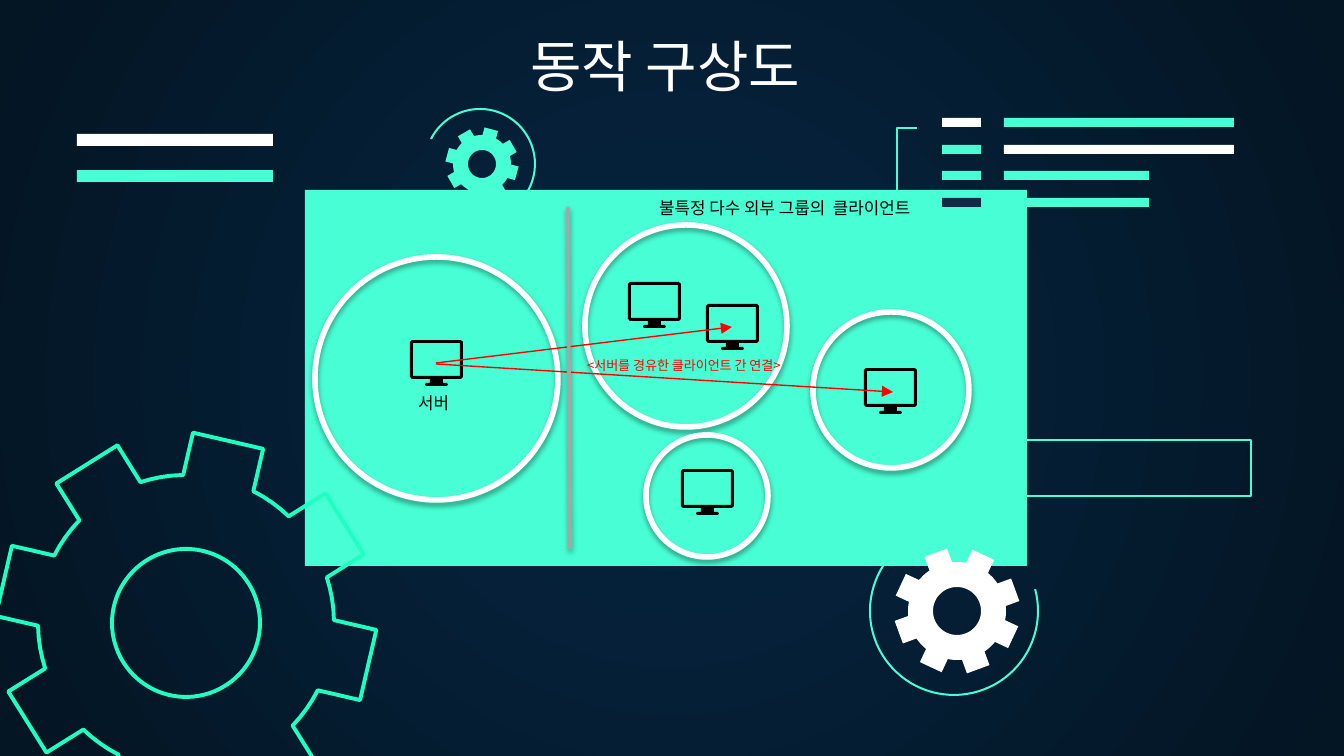
from math import asin, cos, degrees, radians, sin

from lxml.etree import SubElement as Sub
from pptx import Presentation
from pptx.dml.color import RGBColor as RGB
from pptx.enum.shapes import MSO_CONNECTOR as Link, MSO_SHAPE as Kind
from pptx.enum.text import MSO_ANCHOR as Anchor, MSO_AUTO_SIZE as Fit, PP_ALIGN as Align
from pptx.oxml.ns import qn
from pptx.util import Pt

SCALE = 914400 / 134.4
FONT = "Noto Sans CJK KR"
HUES = {
    "teal": "48FFD5", "mint": "1EFFC1", "white": "FFFFFF", "black": "000000",
    "navy": "0E2A47", "red": "FF0000", "gray": "A6A6A6",
    "core": "052643", "edge": "041523",
}


def px(n):
    return round(n * SCALE)


def hue(name):
    return RGB.from_string(HUES[name])


def write(frame, text, size=9, color="black", align=Align.LEFT):
    frame.word_wrap = True
    para = frame.paragraphs[0]
    para.alignment = align
    run = para.add_run()
    run.text = text
    font = run.font
    font.name, font.size, font.bold = FONT, Pt(size), False
    font.color.rgb = hue(color)
    Sub(run._r.get_or_add_rPr(), qn("a:ea"), typeface=FONT)


def ring(x, y, r, start=0, end=360, step=4):
    """Points along an arc, angles in degrees clockwise from the right."""
    count = max(1, round((end - start) / step))
    turns = [radians(start + (end - start) * i / count) for i in range(count + 1)]
    return [(x + r * cos(t), y + r * sin(t)) for t in turns]


def cog(x, y, root, tip, half, phase, teeth=8):
    """Outline of a gear whose teeth have parallel sides."""
    pitch = 360 / teeth
    gap = degrees(asin(half / root))
    points = []
    for i in range(teeth):
        turn = phase + pitch * i
        c, s = cos(radians(turn)), sin(radians(turn))
        points += [(x + tip * c - side * s, y + tip * s + side * c)
                   for side in (-half, half)]
        points += ring(x, y, root, turn + gap, turn + pitch - gap)
    return points


class Board:
    def __init__(self, deck):
        self.slide = deck.slides.add_slide(deck.slide_layouts[5])
        self.shapes = self.slide.shapes

    def ground(self):
        fill = self.slide.background.fill
        fill.gradient()
        for stop, name in zip(fill.gradient_stops, ("core", "edge")):
            stop.color.rgb = hue(name)
        grad = self.slide._element.xpath(".//p:bg//a:gradFill")[0]
        grad.remove(grad.find(qn("a:lin")))
        path = Sub(grad, qn("a:path"), path="circle")
        Sub(path, qn("a:fillToRect"), l="50000", t="50000", r="50000", b="50000")

    def shade(self, effects):
        glow = Sub(effects, qn("a:outerShdw"), blurRad=str(Pt(3.1)), dist=str(Pt(1.6)),
                   dir="5400000", algn="t", rotWithShape="0")
        tint = Sub(glow, qn("a:srgbClr"), val=HUES["black"])
        Sub(tint, qn("a:alpha"), val="38000")

    def paint(self, shape, fill, line, width):
        shape.shadow.inherit = False
        if fill:
            shape.fill.solid()
            shape.fill.fore_color.rgb = hue(fill)
        else:
            shape.fill.background()
        if line:
            shape.line.color.rgb = hue(line)
            shape.line.width = Pt(width)
        else:
            shape.line.fill.background()
        return shape

    def box(self, x, y, w, h, fill=None, line=None, width=1.09, kind=Kind.RECTANGLE):
        shape = self.shapes.add_shape(kind, px(x), px(y), px(w), px(h))
        return self.paint(shape, fill, line, width)

    def disc(self, x, y, size):
        shape = self.box(x, y, size, size, None, "white", 3, Kind.OVAL)
        self.shade(shape._element.spPr.find(qn("a:effectLst")))

    def free(self, *parts, fill=None, line=None, width=1.09, close=True):
        parts = [[(px(x), px(y)) for x, y in part] for part in parts]
        pen = self.shapes.build_freeform(*parts[0][0], scale=1.0)
        for i, part in enumerate(parts):
            if i:
                pen.move_to(*part[0])
            pen.add_line_segments(part[1:], close=close)
        return self.paint(pen.convert_to_shape(), fill, line, width)

    def gear(self, x, y, root, tip, half, hole, phase, **style):
        self.free(cog(x, y, root, tip, half, phase), ring(x, y, hole), **style)

    def screen(self, x, y):
        body = [(0, 2), (2, 0), (51, 0), (53, 2), (53, 37), (51, 39), (33, 39),
                (33, 43), (37, 43), (38, 44.5), (37, 46), (16, 46), (15, 44.5),
                (16, 43), (20, 43), (20, 39), (2, 39), (0, 37)]
        pane = [(3, 3), (50, 3), (50, 36), (3, 36)]
        self.free(*[[(x + a, y + b) for a, b in part] for part in (body, pane)],
                  fill="black")

    def line(self, x1, y1, x2, y2, color, width, arrow=False, shade=False):
        link = self.shapes.add_connector(Link.STRAIGHT, px(x1), px(y1), px(x2), px(y2))
        link.line.color.rgb = hue(color)
        link.line.width = Pt(width)
        if arrow:
            Sub(link.line._get_or_add_ln(), qn("a:tailEnd"), type="triangle")
        effects = Sub(link._element.spPr, qn("a:effectLst"))
        if shade:
            self.shade(effects)

    def label(self, x, y, w, h, text, **style):
        frame = self.shapes.add_textbox(px(x), px(y), px(w), px(h)).text_frame
        write(frame, text, **style)
        frame.auto_size = Fit.SHAPE_TO_FIT_TEXT

    def title(self, x, y, w, h, text):
        shape = self.shapes.title
        shape.left, shape.top, shape.width, shape.height = px(x), px(y), px(w), px(h)
        frame = shape.text_frame
        frame.auto_size = Fit.NONE
        frame.vertical_anchor = Anchor.BOTTOM
        frame.margin_left = frame.margin_right = px(13)
        frame.margin_top = frame.margin_bottom = px(13)
        write(frame, text, size=30, color="white", align=Align.CENTER)


def main():
    deck = Presentation()
    deck.slide_width, deck.slide_height = px(1344), px(756)
    board = Board(deck)
    board.ground()

    # Panel with the two large groups
    board.box(305, 190, 722, 376, "teal")
    board.disc(585, 225, 202)
    board.disc(315, 257, 243)

    # Gears and their arcs
    board.free(ring(480, 164, 55, 207, 455), line="teal", close=False)
    board.free(ring(954, 611, 84, -15, 233), line="teal", close=False)
    board.gear(186, 623, 148, 187, 36, 74, 13, line="mint", width=2.1)
    board.gear(957, 611, 49, 62, 12, 24, 25, fill="white")
    board.gear(482, 164, 29, 36, 7, 14, 15, fill="teal")

    # Bars and frames
    rows = [("white", "teal", 230), ("teal", "white", 230),
            ("teal", "teal", 145), ("navy", "teal", 145)]
    for i, (mark, bar, width) in enumerate(rows):
        y = 118 + round(26.6 * i)
        board.box(942, y, 39, 9, mark)
        board.box(1004, y, width, 9, bar)
    board.free([(917, 209), (897, 209), (897, 128), (917, 128)],
               line="teal", close=False)
    for y, color in ((134, "white"), (170, "teal")):
        board.box(77, y, 196, 12, color)
    board.box(968, 440, 283, 56, line="teal")

    # Server and client screens
    for x, y in ((410, 340), (681, 469), (864, 368), (706, 304), (628, 282)):
        board.screen(x, y)
    board.label(405, 386, 110, 34, "서버")
    board.label(646, 191, 309, 34, "불특정 다수 외부 그룹의  클라이언트")
    board.disc(646, 435, 122)
    board.disc(813, 312, 156)

    # Links through the server
    board.line(436, 363, 732, 327, "red", 0.75, arrow=True)
    board.line(436, 364, 893, 392, "red", 0.75, arrow=True)
    board.label(574, 351, 247, 29, "<서버를 경유한 클라이언트 간 연결>", size=7, color="red")
    board.line(568, 207, 570, 549, "gray", 2, shade=True)

    board.title(39, 23, 1253, 89, "동작 구상도")
    deck.save("out.pptx")


if __name__ == "__main__":
    main()
